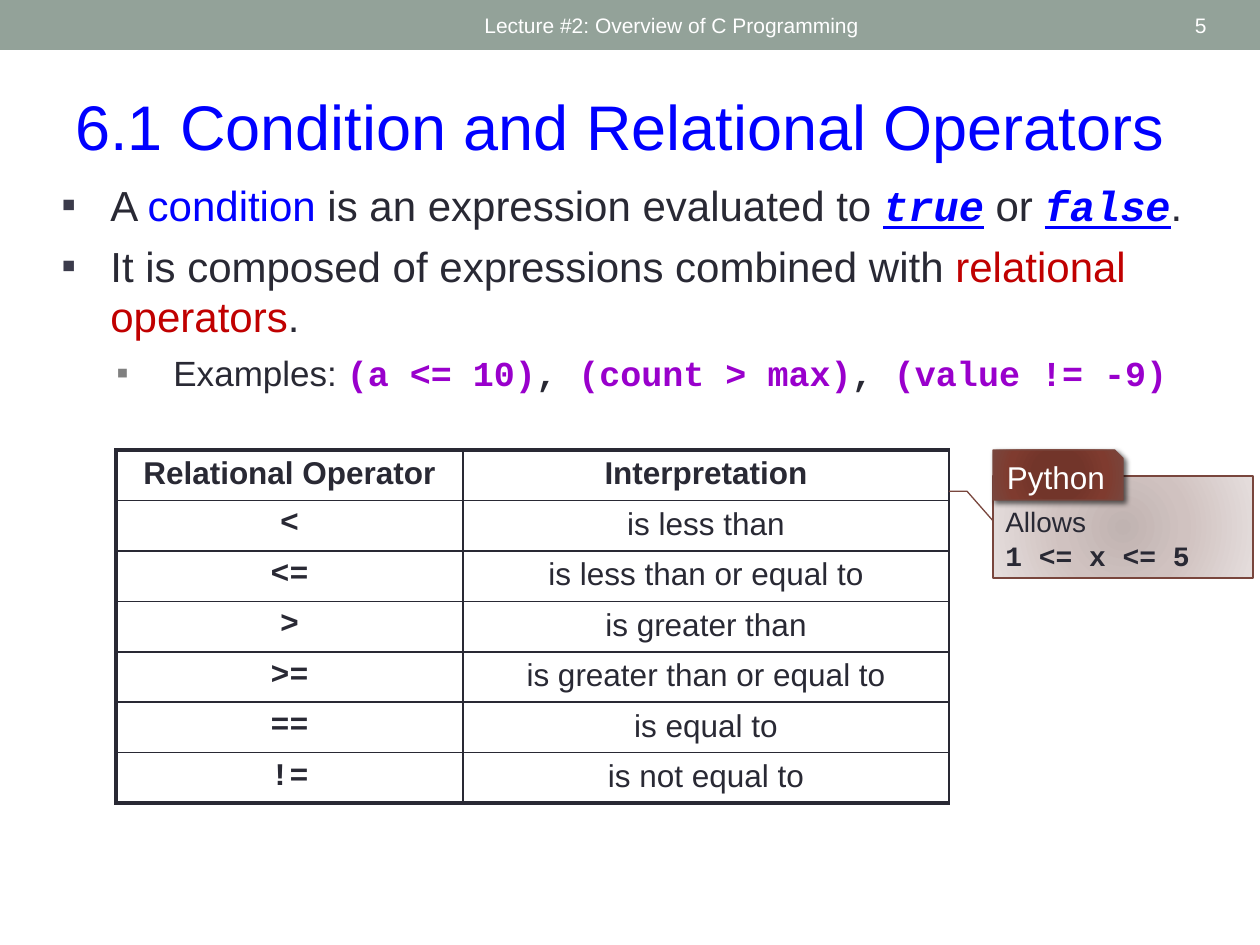
"""Build the lecture slide on conditions and relational operators in C."""
from dataclasses import dataclass

from lxml.etree import SubElement, fromstring
from pptx import Presentation
from pptx.dml.color import RGBColor
from pptx.enum.shapes import MSO_SHAPE
from pptx.enum.text import MSO_ANCHOR, PP_ALIGN
from pptx.oxml.ns import nsdecls, qn
from pptx.util import Emu, Pt

PIXEL = 914400 / 126


def px(length):
    return Emu(round(length * PIXEL))


@dataclass(frozen=True)
class Theme:
    sans: str = "Arial"
    mono: str = "Courier New"
    white: str = "FFFFFF"
    ink: str = "292934"
    band: str = "93A299"
    blue: str = "0000FF"
    red: str = "C00000"
    purple: str = "9900CC"
    brown: str = "79463D"
    bullet: str = "3B3B4B"
    sub_bullet: str = "808080"
    pale_gradient: tuple = ((0, "C0B3B1"), (45, "D0C2C0"), (100, "E5DEDD"))
    dark_gradient: tuple = ((0, "743327"), (34, "72352A"), (70, "7F3B2F"), (100, "79463D"))
    title_size: int = 36
    body_size: int = 24
    example_size: int = 20
    label_size: int = 18
    note_size: int = 16
    header_size: int = 12
    thin: float = 1
    thick: float = 2.25
    outline: float = 0.75


@dataclass(frozen=True)
class Span:
    text: str
    color: str
    mono: bool = False
    bold: bool = False
    emphasis: bool = False


class SlideBuilder:
    def __init__(self, slide, theme):
        self.slide = slide
        self.theme = theme

    def add_spans(self, paragraph, spans, size, align=PP_ALIGN.LEFT):
        paragraph.alignment = align
        for span in spans:
            run = paragraph.add_run()
            run.text = span.text
            font = run.font
            font.name = self.theme.mono if span.mono else self.theme.sans
            font.size = Pt(size)
            font.bold = span.bold
            font.italic = font.underline = span.emphasis
            font.color.rgb = RGBColor.from_string(span.color)

    def text(self, box, spans, size, align=PP_ALIGN.LEFT, anchor=MSO_ANCHOR.MIDDLE):
        frame = self.slide.shapes.add_textbox(*map(px, box)).text_frame
        frame.word_wrap = True
        frame.vertical_anchor = anchor
        self.add_spans(frame.paragraphs[0], spans, size, align)
        return frame

    def bullets(self, box, items):
        frame = self.text(box, [], self.theme.body_size, anchor=MSO_ANCHOR.TOP)
        for index, (level, spans) in enumerate(items):
            paragraph = frame.add_paragraph() if index else frame.paragraphs[0]
            size, color, margin, hanging = (
                (self.theme.example_size, self.theme.sub_bullet, 112, 57)
                if level
                else (self.theme.body_size, self.theme.bullet, 49, 49)
            )
            self.add_spans(paragraph, spans, size)
            paragraph.level = level
            paragraph.space_before = Pt(6)
            properties = paragraph._p.get_or_add_pPr()
            properties.set("marL", str(px(margin)))
            properties.set("indent", str(-px(hanging)))
            bullet_color = SubElement(properties, qn("a:buClr"))
            SubElement(bullet_color, qn("a:srgbClr"), val=color)
            SubElement(properties, qn("a:buFont"), typeface=self.theme.sans)
            SubElement(properties, qn("a:buChar"), char="▪")

    def shape(self, kind, box, fill, line=None):
        shape = self.slide.shapes.add_shape(kind, *map(px, box))
        shape.shadow.inherit = False
        shape.fill.solid()
        if isinstance(fill, str):
            shape.fill.fore_color.rgb = RGBColor.from_string(fill)
        else:
            self.radial_fill(shape, fill)
        if line:
            shape.line.color.rgb = RGBColor.from_string(line)
            shape.line.width = Pt(self.theme.outline)
        else:
            shape.line.fill.background()
        return shape

    def radial_fill(self, shape, stops):
        marks = "".join(
            f'<a:gs pos="{position * 1000}"><a:srgbClr val="{color}"/></a:gs>'
            for position, color in stops
        )
        gradient = fromstring(
            f'<a:gradFill {nsdecls("a")} rotWithShape="1"><a:gsLst>{marks}</a:gsLst>'
            '<a:path path="circle"><a:fillToRect l="100000" t="100000" r="100000" b="100000"/>'
            "</a:path></a:gradFill>"
        )
        properties = shape._element.spPr
        properties.replace(properties.find(qn("a:solidFill")), gradient)

    def drop_shadow(self, shape):
        effects = shape._element.spPr.find(qn("a:effectLst"))
        shadow = SubElement(
            effects, qn("a:outerShdw"), blurRad=str(Pt(3)), dist=str(Pt(2)), dir="2700000"
        )
        color = SubElement(shadow, qn("a:srgbClr"), val="000000")
        SubElement(color, qn("a:alpha"), val="60000")

    def callout(self, box, tab_box, label, lines):
        theme = self.theme
        note = self.shape(MSO_SHAPE.LINE_CALLOUT_2, box, theme.pale_gradient, theme.brown)
        for index, value in enumerate((0.44, 0, 0.15, -0.1, 0.15, -0.17)):
            note.adjustments[index] = value
        frame = note.text_frame
        frame.vertical_anchor = MSO_ANCHOR.BOTTOM
        for index, span in enumerate(lines):
            paragraph = frame.add_paragraph() if index else frame.paragraphs[0]
            self.add_spans(paragraph, [span], theme.note_size)
        tab = self.shape(MSO_SHAPE.SNIP_1_RECTANGLE, tab_box, theme.dark_gradient, theme.brown)
        self.drop_shadow(tab)
        tab.text_frame.vertical_anchor = MSO_ANCHOR.MIDDLE
        self.add_spans(
            tab.text_frame.paragraphs[0], [Span(label, theme.white)], theme.label_size, PP_ALIGN.CENTER
        )

    def border(self, cell, side, width):
        properties = cell._tc.get_or_add_tcPr()
        line = SubElement(properties, qn(f"a:ln{side}"), w=str(Pt(width)))
        fill = SubElement(line, qn("a:solidFill"))
        SubElement(fill, qn("a:srgbClr"), val=self.theme.ink)

    def table(self, left, top, widths, row_height, rows):
        theme = self.theme
        size = sum(widths), row_height * len(rows)
        frame = self.slide.shapes.add_table(len(rows), len(widths), *map(px, (left, top, *size)))
        table = frame.table
        for column, width in zip(table.columns, widths):
            column.width = px(width)
        for row_index, row in enumerate(rows):
            for column_index, value in enumerate(row):
                cell = table.cell(row_index, column_index)
                outer = {"L": column_index == 0, "R": False,
                         "T": row_index == 0, "B": row_index == len(rows) - 1}
                for side, is_outer in outer.items():
                    self.border(cell, side, theme.thick if is_outer else theme.thin)
                cell.fill.solid()
                cell.fill.fore_color.rgb = RGBColor.from_string(theme.white)
                heading, operator = row_index == 0, column_index == 0
                span = Span(value, theme.ink, operator and not heading, operator or heading)
                self.add_spans(cell.text_frame.paragraphs[0], [span], theme.label_size, PP_ALIGN.CENTER)


def main():
    theme = Theme()
    presentation = Presentation()
    presentation.slide_width, presentation.slide_height = px(1260), px(945)
    builder = SlideBuilder(presentation.slides.add_slide(presentation.slide_layouts[6]), theme)

    def plain(text, color=theme.ink):
        return Span(text, color)

    def code(text, color=theme.ink):
        return Span(text, color, mono=True, bold=True)

    def truth(text):
        return Span(text, theme.blue, mono=True, bold=True, emphasis=True)

    builder.shape(MSO_SHAPE.RECTANGLE, (0, 0, 1260, 50), theme.band)
    header = plain("Lecture #2: Overview of C Programming", theme.white)
    builder.text((472, 3, 567, 45), [header], theme.header_size)
    builder.text((63, 81, 1171, 89), [plain("6.1 Condition and Relational Operators", theme.blue)],
                 theme.title_size)
    builder.text((1099, 3, 120, 45), [plain("5", theme.white)], theme.header_size, PP_ALIGN.RIGHT)
    builder.bullets((49, 173, 1157, 252), [
        (0, [plain("A "), plain("condition", theme.blue), plain(" is an expression evaluated to "),
             truth("true"), plain(" or "), truth("false"), plain(".")]),
        (0, [plain("It is composed of expressions combined with "),
             plain("relational operators", theme.red), plain(".")]),
        (1, [plain("Examples: "), code("(a <= 10)", theme.purple), code(", "),
             code("(count > max)", theme.purple), code(", "), code("(value != -9)", theme.purple)]),
    ])
    builder.table(116, 450, (347, 486), 50, [
        ("Relational Operator", "Interpretation"),
        ("<", "is less than"),
        ("<=", "is less than or equal to"),
        (">", "is greater than"),
        (">=", "is greater than or equal to"),
        ("==", "is equal to"),
        ("!=", "is not equal to"),
    ])
    builder.callout((993, 476, 260, 102), (993, 450, 130, 50), "Python",
                    [plain("Allows"), code("1 <= x <= 5")])
    presentation.save("out.pptx")


if __name__ == "__main__":
    main()
